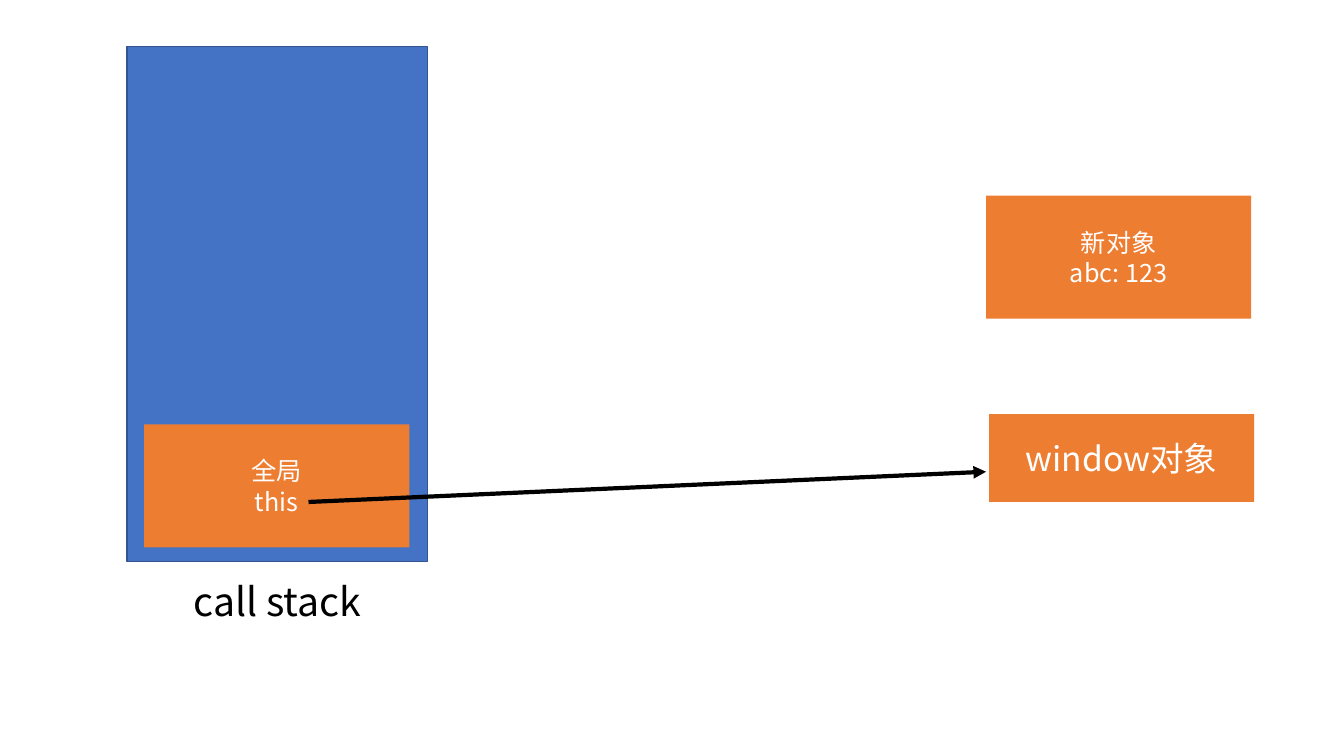
from dataclasses import dataclass

from lxml.etree import SubElement
from pptx import Presentation
from pptx.dml.color import RGBColor
from pptx.enum.shapes import MSO_CONNECTOR, MSO_SHAPE
from pptx.enum.text import MSO_ANCHOR, MSO_AUTO_SIZE, PP_ALIGN
from pptx.oxml.ns import qn
from pptx.shapes.autoshape import Shape
from pptx.slide import Slide
from pptx.text.text import TextFrame
from pptx.util import Inches, Pt

FONT = "Noto Sans CJK SC"
BLUE = RGBColor(0x44, 0x72, 0xC4)
DARK_BLUE = RGBColor(0x32, 0x54, 0x91)
ORANGE = RGBColor(0xED, 0x7D, 0x31)
WHITE = RGBColor(0xFF, 0xFF, 0xFF)
BLACK = RGBColor(0, 0, 0)

STACK_LEFT, STACK_WIDTH = 1.26, 2.98
BOX_WIDTH = 2.63


@dataclass(frozen=True)
class Box:
    """An orange box holding lines of text; lengths are in inches."""
    text: str
    left: float
    top: float
    height: float = 1.22
    size: int = 18


BOXES = (
    Box("全局\nthis", 1.43, 4.21),
    Box("window对象", 9.81, 4.11, height=0.87, size=24),
    Box("新对象\nabc: 123", 9.78, 1.94),
)


def write_text(frame: TextFrame, text: str, *, size: int, color: RGBColor,
               anchor: MSO_ANCHOR = MSO_ANCHOR.TOP) -> None:
    """Write centred text, one paragraph per line."""
    frame.word_wrap = True
    frame.vertical_anchor = anchor
    frame.text = text
    for paragraph in frame.paragraphs:
        paragraph.alignment = PP_ALIGN.CENTER
        for run in paragraph.runs:
            run.font.size = Pt(size)
            run.font.color.rgb = color
            run.font.name = FONT
            SubElement(run.font._element, qn("a:ea"), typeface=FONT)


def add_rectangle(slide: Slide, left: float, top: float, width: float,
                  height: float, fill: RGBColor) -> Shape:
    """Add a filled rectangle without outline or shadow."""
    rectangle = slide.shapes.add_shape(
        MSO_SHAPE.RECTANGLE, Inches(left), Inches(top), Inches(width), Inches(height))
    rectangle.shadow.inherit = False
    rectangle.fill.solid()
    rectangle.fill.fore_color.rgb = fill
    rectangle.line.fill.background()
    return rectangle


def add_call_stack(slide: Slide) -> None:
    """Add the blue stack and the caption below it."""
    stack = add_rectangle(slide, STACK_LEFT, 0.46, STACK_WIDTH, 5.11, BLUE)
    stack.line.color.rgb = DARK_BLUE
    stack.line.width = Pt(1)
    caption = slide.shapes.add_textbox(
        Inches(STACK_LEFT), Inches(5.68), Inches(STACK_WIDTH), Inches(0.57))
    write_text(caption.text_frame, "call stack", size=28, color=BLACK)
    caption.text_frame.auto_size = MSO_AUTO_SIZE.SHAPE_TO_FIT_TEXT


def add_box(slide: Slide, box: Box) -> None:
    """Add an orange box with its white text."""
    rectangle = add_rectangle(slide, box.left, box.top, BOX_WIDTH, box.height, ORANGE)
    write_text(rectangle.text_frame, box.text, size=box.size, color=WHITE,
               anchor=MSO_ANCHOR.MIDDLE)


def add_arrow(slide: Slide, start: tuple[float, float], end: tuple[float, float]) -> None:
    """Add a black arrow from start to end."""
    arrow = slide.shapes.add_connector(
        MSO_CONNECTOR.STRAIGHT, *map(Inches, start), *map(Inches, end))
    arrow.line.color.rgb = BLACK
    arrow.line.width = Pt(3)
    SubElement(arrow.line._get_or_add_ln(), qn("a:tailEnd"), type="triangle")
    SubElement(arrow._element.spPr, qn("a:effectLst"))


def main() -> None:
    """Build the call stack slide."""
    presentation = Presentation()
    presentation.slide_width = Inches(13.33)
    presentation.slide_height = Inches(7.5)
    slide = presentation.slides.add_slide(presentation.slide_layouts[6])

    global_frame, *heap_objects = BOXES
    add_call_stack(slide)
    add_box(slide, global_frame)
    add_arrow(slide, start=(3.06, 4.98), end=(9.78, 4.68))
    for heap_object in heap_objects:
        add_box(slide, heap_object)
    presentation.save("out.pptx")


main()
